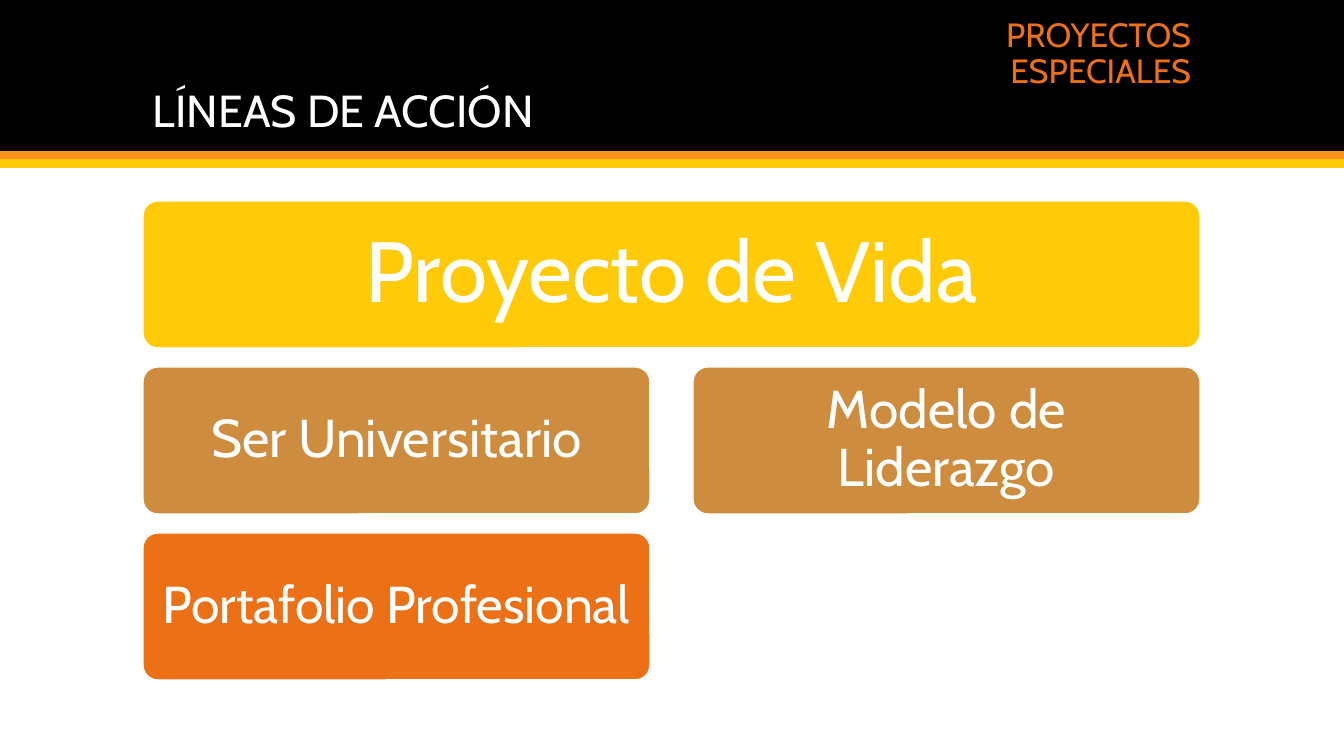
from dataclasses import dataclass

from pptx import Presentation
from pptx.dml.color import RGBColor
from pptx.enum.shapes import MSO_SHAPE as SHAPE
from pptx.enum.text import MSO_ANCHOR as ANCHOR, PP_ALIGN as ALIGN
from pptx.util import Emu, Pt


@dataclass(frozen=True)
class Theme:
    font: str = "Cabin"
    white: str = "FFFFFF"
    black: str = "000000"
    amber: str = "F8931D"
    yellow: str = "FFCA08"
    tan: str = "CE8D3E"
    orange: str = "EC7016"
    title: int = 32
    section: int = 24
    card_large: int = 61
    card_medium: int = 38
    card_small: int = 37


T = Theme()

# Content
TITLE = ["LÍNEAS DE ACCIÓN"]
SECTION = ["PROYECTOS", "ESPECIALES"]
BANDS = [(0, 151, T.black), (151, 9, T.amber), (159, 9, T.yellow)]  # top, height, fill
CARDS = [  # text, row, column, columns spanned, fill, type size, inset
    ("Proyecto de Vida", 0, 0, 2, T.yellow, T.card_large, 25),
    ("Ser Universitario", 1, 0, 1, T.tan, T.card_medium, 16),
    ("Portafolio Profesional", 2, 0, 1, T.orange, T.card_small, 15),
    ("Modelo de Liderazgo", 1, 1, 1, T.tan, T.card_medium, 16),
]

# Layout in px
SLIDE_W, SLIDE_H = 1344, 756
LEFT, TOP = 143, 201
CARD_W, CARD_H = 507, 147
GAP_X, GAP_Y = 43, 19


def px(n):
    return Emu(round(n * 914400 / 100.8))


def add_block(slide, kind, x, y, w, h, fill):
    sp = slide.shapes.add_shape(kind, px(x), px(y), px(w), px(h))
    sp.shadow.inherit = False
    sp.fill.solid()
    sp.fill.fore_color.rgb = RGBColor.from_string(fill)
    sp.line.fill.background()
    return sp


def write(sp, lines, size, color, align, anchor, inset_x, inset_y):
    tf = sp.text_frame
    tf.word_wrap = True
    tf.vertical_anchor = anchor
    tf.margin_left = tf.margin_right = px(inset_x)
    tf.margin_top = tf.margin_bottom = px(inset_y)
    for i, line in enumerate(lines):
        p = tf.add_paragraph() if i else tf.paragraphs[0]
        p.alignment = align
        p.line_spacing = 0.9
        r = p.add_run()
        r.text = line
        r.font.name = T.font
        r.font.size = Pt(size)
        r.font.color.rgb = RGBColor.from_string(color)


def add_heading(slide, x, y, w, lines, size, color, align):
    sp = slide.shapes.add_textbox(px(x), px(y), px(w), px(114))
    write(sp, lines, size, color, align, ANCHOR.BOTTOM, 10, 5)


def main():
    prs = Presentation()
    prs.slide_width, prs.slide_height = px(SLIDE_W), px(SLIDE_H)
    slide = prs.slides.add_slide(prs.slide_layouts[6])

    # Header bands
    for top, height, fill in BANDS:
        add_block(slide, SHAPE.RECTANGLE, 0, top, SLIDE_W, height, fill)

    # Headings
    add_heading(slide, LEFT, 28, 1058, TITLE, T.title, T.white, ALIGN.LEFT)
    add_heading(slide, 935, -18, 266, SECTION, T.section, T.orange, ALIGN.RIGHT)

    # Cards on a two-column grid
    for text, row, col, span, fill, size, inset in CARDS:
        x = LEFT + col * (CARD_W + GAP_X)
        y = TOP + row * (CARD_H + GAP_Y)
        w = span * CARD_W + (span - 1) * GAP_X
        sp = add_block(slide, SHAPE.ROUNDED_RECTANGLE, x, y, w, CARD_H, fill)
        sp.adjustments[0] = 0.1
        sp.line.color.rgb = RGBColor.from_string(T.white)
        sp.line.width = Pt(1)
        write(sp, [text], size, T.white, ALIGN.CENTER, ANCHOR.MIDDLE, inset, inset)

    prs.save("out.pptx")


if __name__ == "__main__":
    main()
